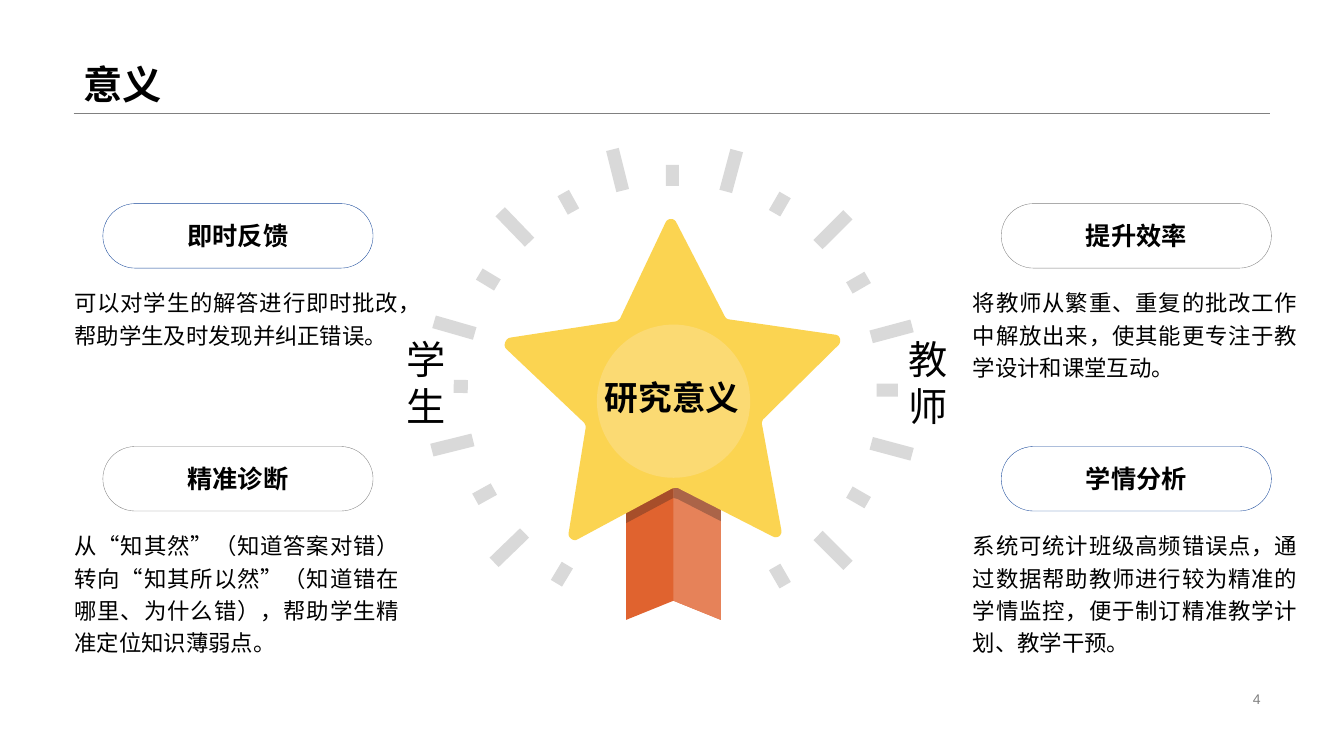
import math
from dataclasses import dataclass

from lxml import etree
from pptx import Presentation
from pptx.dml.color import RGBColor
from pptx.enum.lang import MSO_LANGUAGE_ID
from pptx.enum.shapes import MSO_CONNECTOR, MSO_SHAPE
from pptx.enum.text import MSO_ANCHOR, PP_ALIGN
from pptx.oxml.ns import qn
from pptx.util import Inches, Pt

RECT, PILL, OVAL = MSO_SHAPE.RECTANGLE, MSO_SHAPE.ROUNDED_RECTANGLE, MSO_SHAPE.OVAL
STRAIGHT = MSO_CONNECTOR.STRAIGHT
LEFT, CENTER, RIGHT, JUSTIFY = PP_ALIGN.LEFT, PP_ALIGN.CENTER, PP_ALIGN.RIGHT, PP_ALIGN.JUSTIFY
TOP, MIDDLE, BOTTOM = MSO_ANCHOR.TOP, MSO_ANCHOR.MIDDLE, MSO_ANCHOR.BOTTOM
CHINESE = MSO_LANGUAGE_ID.SIMPLIFIED_CHINESE

COLUMNS, ROWS = 13.33, 7.5


@dataclass(frozen=True)
class Theme:
    font: str = "Arial"
    ink: str = "000000"
    paper: str = "FFFFFF"
    gray: str = "808080"
    blue: str = "17489A"
    ray: str = "D9D9D9"
    star: str = "FBD451"
    disc: str = "FBDA73"
    ribbon: str = "E0632F"
    ribbon_light: str = "E68259"
    shade: str = "A74E2A"
    shade_light: str = "AB6448"
    heading: int = 28
    centre: int = 24
    label: int = 18
    body: int = 16
    number: int = 10
    hairline: float = 0.25


class Deck:
    """Draws on one slide; all lengths are columns and rows of its grid."""

    def __init__(self, theme):
        self.theme = theme
        self.prs = Presentation()
        self.prs.slide_width, self.prs.slide_height = Inches(COLUMNS), Inches(ROWS)
        self.s = self.prs.slides.add_slide(self.prs.slide_layouts[6])

    def cell(self, x, y):
        return round(x * self.prs.slide_width / COLUMNS), round(y * self.prs.slide_height / ROWS)

    def set_text(self, sp, text, size, bold=False, color=None, align=LEFT, anchor=MIDDLE,
                 spacing=1.0):
        tf = sp.text_frame
        tf.word_wrap = True
        tf.vertical_anchor = anchor
        tf.text = text
        p = tf.paragraphs[0]
        p.alignment, p.line_spacing = align, spacing
        font = p.runs[0].font
        font.name, font.size, font.bold = self.theme.font, Pt(size), bold
        font.color.rgb = RGBColor.from_string(color or self.theme.ink)
        font.language_id = CHINESE

    def paint(self, sp, fill, line=None):
        sp.shadow.inherit = False
        sp.fill.solid()
        sp.fill.fore_color.rgb = RGBColor.from_string(fill)
        if line:
            sp.line.color.rgb = RGBColor.from_string(line)
            sp.line.width = Pt(self.theme.hairline)
        else:
            sp.line.fill.background()

    def text(self, x, y, w, h, text, size, **style):
        sp = self.s.shapes.add_textbox(*self.cell(x, y), *self.cell(w, h))
        self.set_text(sp, text, size, **style)

    def shape(self, kind, x, y, w, h, fill, line=None):
        sp = self.s.shapes.add_shape(kind, *self.cell(x, y), *self.cell(w, h))
        self.paint(sp, fill, line)
        return sp

    def polygon(self, points, fill):
        start, *rest = [self.cell(*point) for point in points]
        builder = self.s.shapes.build_freeform(*start)
        builder.add_line_segments(rest, close=True)
        self.paint(builder.convert_to_shape(), fill)

    def rule(self, x1, y1, x2, y2, color):
        line = self.s.shapes.add_connector(STRAIGHT, *self.cell(x1, y1), *self.cell(x2, y2))
        line.line.color.rgb = RGBColor.from_string(color)
        line.line.width = Pt(self.theme.hairline)
        etree.SubElement(line._element.spPr, qn("a:effectLst"))

    def card(self, x, y, label, body, height, line):
        """A pill label with a paragraph below it."""
        pill = self.shape(PILL, x + 0.38, y, 2.68, 0.64, self.theme.paper, line)
        pill.adjustments[0] = 0.5
        self.set_text(pill, label, self.theme.label, bold=True, align=CENTER)
        self.text(x, y + 0.75, 3.42, height, body, self.theme.body,
                  align=JUSTIFY, anchor=TOP, spacing=1.2)

    def rays(self, cx, cy):
        """Bars every 15 degrees, long and short in turn, open at the bottom."""
        for i in range(-10, 11):
            long = i % 2
            radius, length = (2.25, 0.42) if long else (2.13, 0.21)
            if i == -6:
                radius, length = 2.1, 0.14
            degrees = 15 * i + (1 if i < 0 else 0)
            angle = math.radians(degrees)
            x, y = cx + radius * math.sin(angle), cy - radius * math.cos(angle)
            ray = self.shape(RECT, x - 0.065, y - length / 2, 0.13, length, self.theme.ray)
            ray.rotation = degrees % 360


def bezier(a, b, c, d, steps=8):
    for k in range(steps + 1):
        t = k / steps
        u = 1 - t
        weights = u ** 3, 3 * u * u * t, 3 * u * t * t, t ** 3
        yield tuple(sum(w * p[axis] for w, p in zip(weights, (a, b, c, d))) for axis in (0, 1))


# Each rounded corner: start, two controls, end
STAR_CORNERS = [
    [(6.72, 4.84), (6.7, 4.84), (6.68, 4.84), (6.66, 4.85)],
    [(5.73, 5.35), (5.69, 5.38), (5.63, 5.33), (5.64, 5.29)],
    [(5.81, 4.24), (5.81, 4.22), (5.8, 4.2), (5.79, 4.19)],
    [(5.02, 3.46), (4.99, 3.43), (5.01, 3.36), (5.06, 3.35)],
    [(6.1, 3.19), (6.12, 3.19), (6.14, 3.17), (6.15, 3.16)],
    [(6.6, 2.21), (6.62, 2.16), (6.69, 2.16), (6.71, 2.21)],
    [(7.19, 3.14), (7.2, 3.16), (7.22, 3.17), (7.24, 3.17)],
    [(8.28, 3.32), (8.33, 3.32), (8.35, 3.38), (8.32, 3.42)],
    [(7.57, 4.16), (7.56, 4.18), (7.55, 4.2), (7.56, 4.22)],
    [(7.75, 5.26), (7.76, 5.31), (7.71, 5.35), (7.66, 5.32)],
]
RIBBON_LEFT, RIBBON_MID, RIBBON_RIGHT, RIBBON_TOP = 6.21, 6.68, 7.15, 4.69

LEFT_CARDS, RIGHT_CARDS, UPPER, LOWER = 0.64, 9.55, 2.02, 4.43


def main():
    theme = Theme()
    deck = Deck(theme)

    deck.rule(0.73, 1.12, 12.6, 1.12, theme.gray)
    deck.text(0.73, 0, 11.87, 1.12, "意义", theme.heading, bold=True, anchor=BOTTOM, spacing=0.9)
    deck.text(9.42, 6.82, 3.18, 0.23, "4", theme.number, color=theme.gray, align=RIGHT)

    left, mid, right, top = RIBBON_LEFT, RIBBON_MID, RIBBON_RIGHT, RIBBON_TOP
    deck.polygon([(right, 6.15), (mid, 5.96), (left, 6.15), (left, top), (right, top)], theme.ribbon)
    deck.polygon([(mid, 5.96), (right, 6.15), (right, top), (mid, top)], theme.ribbon_light)
    deck.polygon([(mid, top), (left, top), (left, 5.19), (6.66, 4.95), (mid, 4.94)], theme.shade)
    deck.polygon([(right, top), (mid, top), (mid, 4.94), (6.72, 4.95), (right, 5.17)],
                 theme.shade_light)
    deck.polygon([point for corner in STAR_CORNERS for point in bezier(*corner)], theme.star)
    deck.rays(6.67, 3.87)
    deck.shape(OVAL, 5.92, 3.22, 1.52, 1.52, theme.disc)
    deck.text(5.34, 3.51, 2.65, 0.86, "研究意义", theme.centre, bold=True, align=CENTER)

    for x, y, label, body, height, line in [
        (LEFT_CARDS, UPPER, "即时反馈",
         "可以对学生的解答进行即时批改，帮助学生及时发现并纠正错误。", 0.97, theme.blue),
        (RIGHT_CARDS, UPPER, "提升效率",
         "将教师从繁重、重复的批改工作中解放出来，使其能更专注于教学设计和课堂互动。",
         0.97, theme.gray),
        (LEFT_CARDS, LOWER, "精准诊断",
         "从“知其然”（知道答案对错）转向“知其所以然”（知道错在哪里、为什么错），"
         "帮助学生精准定位知识薄弱点。", 1.55, theme.gray),
        (RIGHT_CARDS, LOWER, "学情分析",
         "系统可统计班级高频错误点，通过数据帮助教师进行较为精准的学情监控，"
         "便于制订精准教学计划、教学干预。", 0.97, theme.blue),
    ]:
        deck.card(x, y, label, body, height, line)

    for x, audience in [(3.93, "学生"), (8.91, "教师")]:
        deck.text(x, 3.22, 0.57, 1.15, audience, theme.heading)

    deck.prs.save("out.pptx")


if __name__ == "__main__":
    main()
